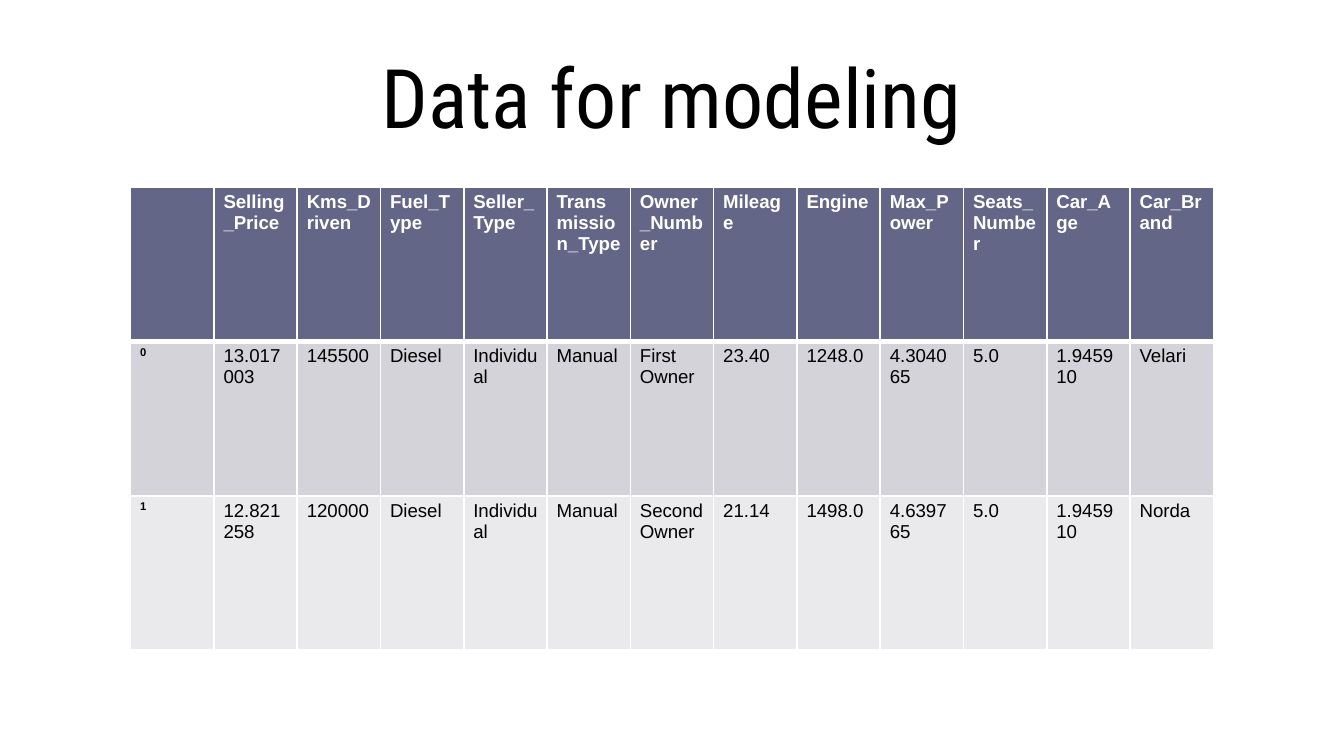
from lxml.etree import SubElement
from pptx import Presentation
from pptx.dml.color import RGBColor
from pptx.enum.text import MSO_ANCHOR as Anchor, MSO_AUTO_SIZE as AutoSize, PP_ALIGN as Align
from pptx.oxml.ns import qn
from pptx.util import Cm, Pt

COLORS = {
    "text": "000000",
    "header_text": "FFFFFF",
    "border": "FFFFFF",
    "header": "636686",
    "odd_row": "D3D3D9",
    "even_row": "EAEAED",
}

HEADERS = ["", "Selling_Price", "Kms_Driven", "Fuel_Type", "Seller_Type",
           "Transmission_Type", "Owner_Number", "Mileage", "Engine",
           "Max_Power", "Seats_Number", "Car_Age", "Car_Brand"]
CARS = [
    ["0", "13.017003", "145500", "Diesel", "Individual", "Manual", "First Owner",
     "23.40", "1248.0", "4.304065", "5.0", "1.945910", "Velari"],
    ["1", "12.821258", "120000", "Diesel", "Individual", "Manual", "Second Owner",
     "21.14", "1498.0", "4.639765", "5.0", "1.945910", "Norda"],
]


def set_all(target, values):
    for name, value in values.items():
        setattr(target, name, value)


class SlideBuilder:
    def __init__(self, page):
        self.page = page
        self.title_font = {"name": "Roboto Condensed", "size": Pt(44), "bold": False}
        self.table_font = {"name": "Arial", "size": Pt(10)}
        self.index_size = Pt(6)
        self.cell_margins = {
            "margin_left": Cm(0.18), "margin_right": Cm(0.18),
            "margin_top": Cm(0.09), "margin_bottom": Cm(0.09),
        }

    def add_text(self, frame, text, font, color):
        para = frame.paragraphs[0]
        span = para.add_run()
        span.text = text
        set_all(span.font, font)
        span.font.color.rgb = RGBColor.from_string(COLORS[color])
        return para

    def title(self, text, left, top, width, height):
        box = self.page.shapes.title
        set_all(box, {"left": left, "top": top, "width": width, "height": height})
        frame = box.text_frame
        set_all(frame, {"word_wrap": True, "auto_size": AutoSize.NONE,
                        "vertical_anchor": Anchor.MIDDLE})
        self.add_text(frame, text, self.title_font, "text").alignment = Align.CENTER

    def borders(self, cell, top, bottom):
        properties = cell._tc.get_or_add_tcPr()
        for side, points in {"lnL": 1, "lnR": 1, "lnT": top, "lnB": bottom}.items():
            line = SubElement(properties, qn(f"a:{side}"), w=str(Pt(points)))
            fill = SubElement(line, qn("a:solidFill"))
            SubElement(fill, qn("a:srgbClr"), val=COLORS["border"])

    def table(self, rows, left, top, width, height):
        grid = self.page.shapes.add_table(
            len(rows), len(rows[0]), left, top, width, height).table
        fills = ["header", "odd_row", "even_row"]
        for r, values in enumerate(rows):
            is_header = r == 0
            for c, value in enumerate(values):
                cell = grid.cell(r, c)
                set_all(cell, self.cell_margins)
                # The header is set off by a thicker rule
                self.borders(cell, 3 if r == 1 else 1, 3 if is_header else 1)
                cell.fill.solid()
                cell.fill.fore_color.rgb = RGBColor.from_string(COLORS[fills[r]])
                if not value:
                    continue
                font = self.table_font | {"bold": is_header or c == 0}
                if c == 0:
                    font["size"] = self.index_size
                self.add_text(cell.text_frame, value, font,
                              "header_text" if is_header else "text")


def main():
    deck = Presentation()
    set_all(deck, {"slide_width": Cm(25.4), "slide_height": Cm(14.29)})
    builder = SlideBuilder(deck.slides.add_slide(deck.slide_layouts[5]))

    # Title
    builder.title("Data for modeling", Cm(1.14), Cm(1.14), Cm(23.11), Cm(1.35))

    # Sample of the car data
    builder.table([HEADERS] + CARS, Cm(2.47), Cm(3.53), Cm(20.47), Cm(8.76))

    deck.save("out.pptx")


if __name__ == "__main__":
    main()
